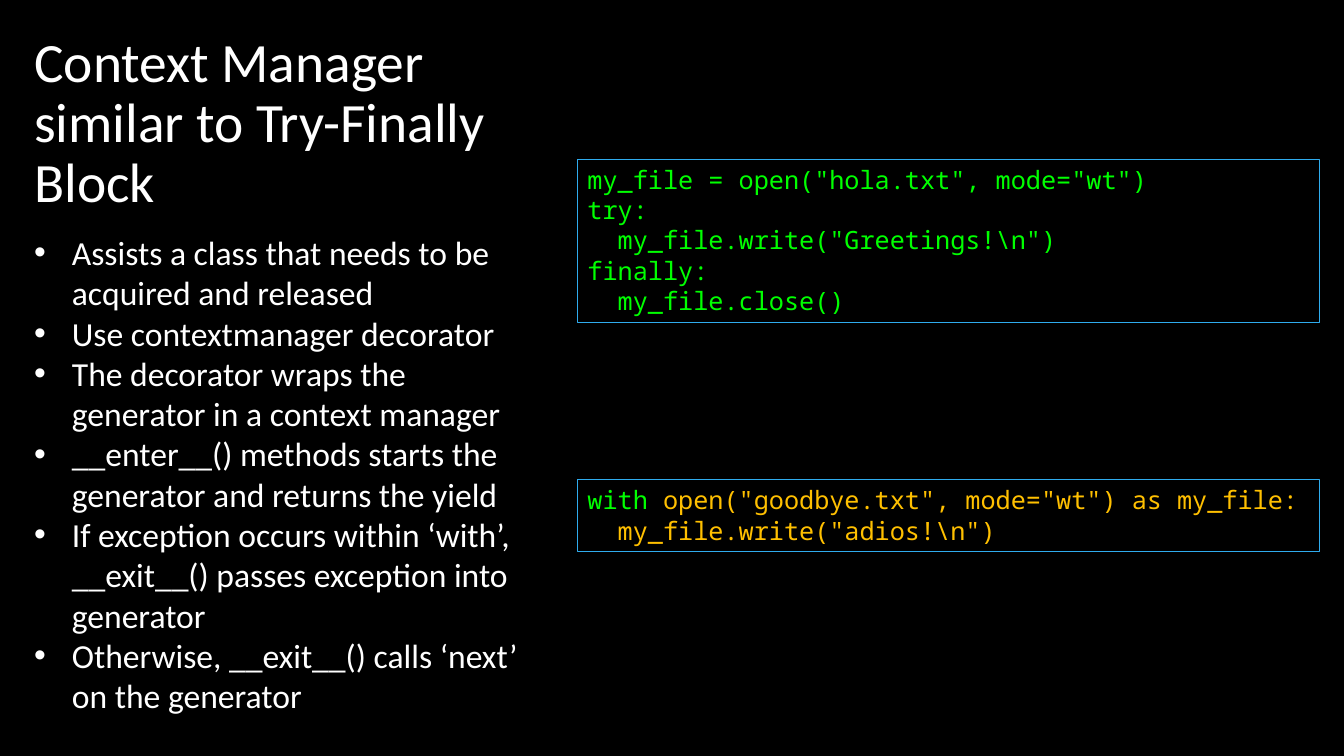
from lxml import etree
from pptx import Presentation
from pptx.dml.color import RGBColor
from pptx.enum.shapes import MSO_SHAPE
from pptx.enum.text import MSO_ANCHOR, MSO_AUTO_SIZE, PP_ALIGN
from pptx.oxml.ns import qn
from pptx.util import Pt

RECTANGLE = MSO_SHAPE.RECTANGLE
TOP, MIDDLE = MSO_ANCHOR.TOP, MSO_ANCHOR.MIDDLE
NO_AUTOFIT = MSO_AUTO_SIZE.NONE
LEFT = PP_ALIGN.LEFT

BLACK, WHITE, GREEN, AMBER, BLUE = "000000", "FFFFFF", "00FF00", "FFC000", "2FABED"
BODY_FONT, CODE_FONT = "Calibri", "Noto Sans Mono"
TEXT_LEFT, TEXT_WIDTH = 17.28, 378.72
CODE_LEFT, CODE_WIDTH = 412.56, 529.92
BULLET_INDENT = 27

TITLE = "Context Manager similar to Try-Finally Block"
POINTS = [
    "Assists a class that needs to be acquired and released",
    "Use contextmanager decorator",
    "The decorator wraps the generator in a context manager",
    "__enter__() methods starts the generator and returns the yield",
    "If exception occurs within ‘with’, __exit__() passes exception into generator",
    "Otherwise, __exit__() calls ‘next’ on the generator",
]
# Each code line is a list of (text, colour) pieces
TRY_FINALLY = [[(line, GREEN)] for line in (
    'my_file = open("hola.txt", mode="wt")',
    "try:",
    '  my_file.write("Greetings!\\n")',
    "finally:",
    "  my_file.close()",
)]
WITH_BLOCK = [
    [("with", GREEN), (' open("goodbye.txt", mode="wt") as my_file:', AMBER)],
    [('  my_file.write("adios!\\n")', AMBER)],
]


def color(hex_string):
    return RGBColor.from_string(hex_string)


def set_font(paragraph, name, size):
    paragraph.alignment = LEFT
    paragraph.font.name = name
    paragraph.font.size = Pt(size)


def prepare_frame(frame, anchor):
    frame.word_wrap = True
    frame.auto_size = NO_AUTOFIT
    frame.vertical_anchor = anchor


def place_title(slide, text, top, height):
    title = slide.shapes.title
    title.left, title.top = Pt(TEXT_LEFT), Pt(top)
    title.width, title.height = Pt(TEXT_WIDTH), Pt(height)
    title.text_frame.text = text
    prepare_frame(title.text_frame, MIDDLE)
    heading = title.text_frame.paragraphs[0]
    set_font(heading, BODY_FONT, 39.6)
    heading.font.color.rgb = color(WHITE)
    heading.line_spacing = 0.9


def add_bullets(slide, points, top, height):
    box = slide.shapes.add_textbox(Pt(TEXT_LEFT), Pt(top), Pt(TEXT_WIDTH), Pt(height))
    frame = box.text_frame
    frame.text = "\n".join(points)
    prepare_frame(frame, TOP)
    for point in frame.paragraphs:
        set_font(point, BODY_FONT, 24)
        point.font.color.rgb = color(WHITE)
        properties = point._p.get_or_add_pPr()
        properties.set("marL", str(Pt(BULLET_INDENT)))
        properties.set("indent", str(-Pt(BULLET_INDENT)))
        bullet_font = etree.Element(qn("a:buFont"), typeface="Arial")
        bullet = etree.Element(qn("a:buChar"), char="•")
        # Bullet elements come before the default run properties
        properties.find(qn("a:defRPr")).addprevious(bullet_font)
        bullet_font.addnext(bullet)


def add_code(slide, lines, top, height):
    panel = slide.shapes.add_shape(
        RECTANGLE, Pt(CODE_LEFT), Pt(top), Pt(CODE_WIDTH), Pt(height))
    panel.shadow.inherit = False
    panel.fill.background()
    panel.line.color.rgb = color(BLUE)
    panel.line.width = Pt(0.75)
    frame = panel.text_frame
    prepare_frame(frame, TOP)
    for number, pieces in enumerate(lines):
        code_line = frame.add_paragraph() if number else frame.paragraphs[0]
        set_font(code_line, CODE_FONT, 18)
        for text, hex_string in pieces:
            run = code_line.add_run()
            run.text = text
            run.font.color.rgb = color(hex_string)


def main():
    presentation = Presentation()
    presentation.slide_width, presentation.slide_height = Pt(960), Pt(540)
    slide = presentation.slides.add_slide(presentation.slide_layouts[5])
    slide.background.fill.solid()
    slide.background.fill.fore_color.rgb = color(BLACK)

    # Left column: title and explanation
    place_title(slide, TITLE, top=63.36, height=51.12)
    add_bullets(slide, POINTS, top=162, height=356.4)

    # Right column: the two equivalent code samples
    add_code(slide, TRY_FINALLY, top=113.76, height=116.64)
    add_code(slide, WITH_BLOCK, top=342.72, height=51.12)

    presentation.save("out.pptx")


if __name__ == "__main__":
    main()
